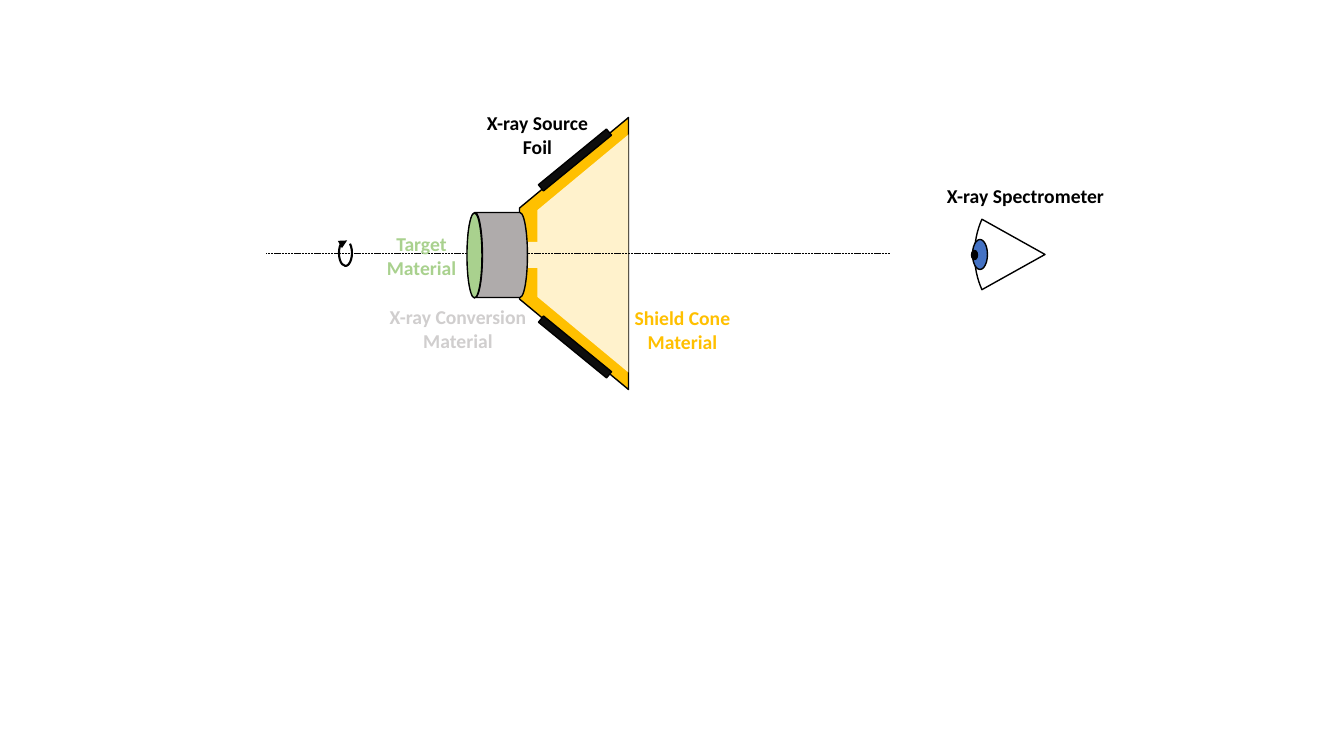
from dataclasses import dataclass
from typing import Any, Optional

from pptx import Presentation
from pptx import util as u
from pptx.dml.color import RGBColor
from pptx.enum import dml, shapes, text
from pptx.oxml.ns import qn
from lxml import etree

PX = 914400 / 100.8
BLACK = RGBColor(0, 0, 0)
WHITE = RGBColor(255, 255, 255)
CHARCOAL = RGBColor(0x0D, 0x0D, 0x0D)
GOLD = RGBColor(0xFF, 0xC0, 0x00)
CREAM = RGBColor(0xFF, 0xF2, 0xCC)
GRAY = RGBColor(0xAF, 0xAB, 0xAB)
SILVER = RGBColor(0xD0, 0xCE, 0xCE)
GREEN = RGBColor(0xA9, 0xD1, 0x8E)
BLUE = RGBColor(0x44, 0x72, 0xC4)
KIND = shapes.MSO_SHAPE


@dataclass(frozen=True)
class Part:
    """A preset shape, placed before its rotation."""
    kind: Any
    at: tuple[int, int, int, int]
    fill: Optional[RGBColor] = None
    line: float = 1
    turn: float = 0
    adjust: tuple[float, ...] = ()


@dataclass(frozen=True)
class Label:
    """Bold text with one paragraph for each line."""
    lines: tuple[str, ...]
    at: tuple[int, int, int, int]
    color: RGBColor = BLACK


CONE = (
    Part(KIND.TRAPEZOID, (438, 199, 272, 109), GOLD, turn=270, adjust=(0.83,)),
    Part(KIND.RECTANGLE, (527, 242, 40, 26), CREAM, line=0),
    Part(KIND.TRAPEZOID, (464, 208, 238, 91), CREAM, line=0, turn=270, adjust=(0.83,)),
)
TARGET = (
    Part(KIND.CAN, (455, 225, 85, 60), GRAY, turn=270),
    Part(KIND.OVAL, (467, 213, 15, 85), GREEN),
)
ROTATION = Part(KIND.ARC, (339, 240, 13, 26), line=1.5, adjust=(177.61, 166.64))
FOILS = tuple(
    Part(KIND.RECTANGLE, (531, top, 88, 8), CHARCOAL, turn=turn)
    for top, turn in ((156, 320.7), (343, 39.3))
)
EYE = (
    Part(KIND.PIE, (966, 184, 158, 141), WHITE, turn=90, adjust=(36.5, 71.5)),
    Part(KIND.OVAL, (965, 247, 30, 15), BLUE, turn=90),
    Part(KIND.OVAL, (970, 252, 9, 6), BLACK, turn=90),
)
LABELS = (
    Label(("Target", "Material"), (376, 227, 91, 57), GREEN),
    Label(("X-ray Conversion", "Material"), (379, 300, 158, 57), SILVER),
    Label(("Shield Cone", "Material"), (624, 301, 117, 57), GOLD),
    Label(("X-ray Source", "Foil"), (476, 106, 123, 57)),
    Label(("X-ray Spectrometer",), (936, 179, 179, 34)),
)


def emu(*pixels: int) -> list[u.Emu]:
    """Turn pixels into EMU."""
    return [u.Emu(round(pixel * PX)) for pixel in pixels]


def draw_part(canvas: Any, part: Part) -> Any:
    """Draw a preset shape on a slide's or group's shape tree."""
    shape = canvas.add_shape(part.kind, *emu(*part.at))
    shape.shadow.inherit = False
    shape.rotation = part.turn
    for index, value in enumerate(part.adjust):
        shape.adjustments[index] = value
    if part.fill is None:
        shape.fill.background()
    else:
        shape.fill.solid()
        shape.fill.fore_color.rgb = part.fill
    if part.line:
        shape.line.color.rgb = BLACK
        shape.line.width = u.Pt(part.line)
    else:
        shape.line.fill.background()
    return shape


def draw_parts(canvas: Any, parts: tuple[Part, ...]) -> None:
    """Draw parts from back to front."""
    for part in parts:
        draw_part(canvas, part)


def draw_axis(canvas: Any) -> None:
    """Draw the dashed axis of symmetry."""
    axis = canvas.add_connector(shapes.MSO_CONNECTOR.STRAIGHT, *emu(890, 253, 266, 253))
    axis.line.color.rgb = BLACK
    axis.line.width = u.Pt(0.5)
    axis.line.dash_style = dml.MSO_LINE.SQUARE_DOT
    etree.SubElement(axis.element.spPr, qn("a:effectLst"))


def draw_rotation(canvas: Any) -> None:
    """Draw the arc arrow around the axis."""
    arc = draw_part(canvas, ROTATION)
    line = arc.element.spPr.find(qn("a:ln"))
    etree.SubElement(line, qn("a:tailEnd"), type="triangle")


def add_text(canvas: Any, lines: tuple[str, ...], *, at: tuple[int, int, int, int],
             color: RGBColor, size: float = 14, bold: bool = True,
             font: str = "Calibri") -> None:
    """Add a centred text box that does not wrap."""
    box = canvas.add_textbox(*emu(*at))
    frame = box.text_frame
    frame.word_wrap = False
    frame.auto_size = text.MSO_AUTO_SIZE.SHAPE_TO_FIT_TEXT
    for index, words in enumerate(lines):
        para = frame.add_paragraph() if index else frame.paragraphs[0]
        para.alignment = text.PP_ALIGN.CENTER
        span = para.add_run()
        span.text = words
        span.font.name = font
        span.font.size = u.Pt(size)
        span.font.bold = bold
        span.font.color.rgb = color


def main() -> None:
    """Build the slide and save it."""
    deck = Presentation()
    deck.slide_width, deck.slide_height = emu(1344, 756)
    page = deck.slides.add_slide(deck.slide_layouts[6])
    canvas = page.shapes
    draw_parts(canvas, CONE)
    draw_axis(canvas)
    draw_parts(canvas, TARGET)
    draw_rotation(canvas)
    draw_parts(canvas, FOILS)
    draw_parts(canvas.add_group_shape().shapes, EYE)
    for label in LABELS:
        add_text(canvas, label.lines, at=label.at, color=label.color)
    deck.save("out.pptx")


main()
